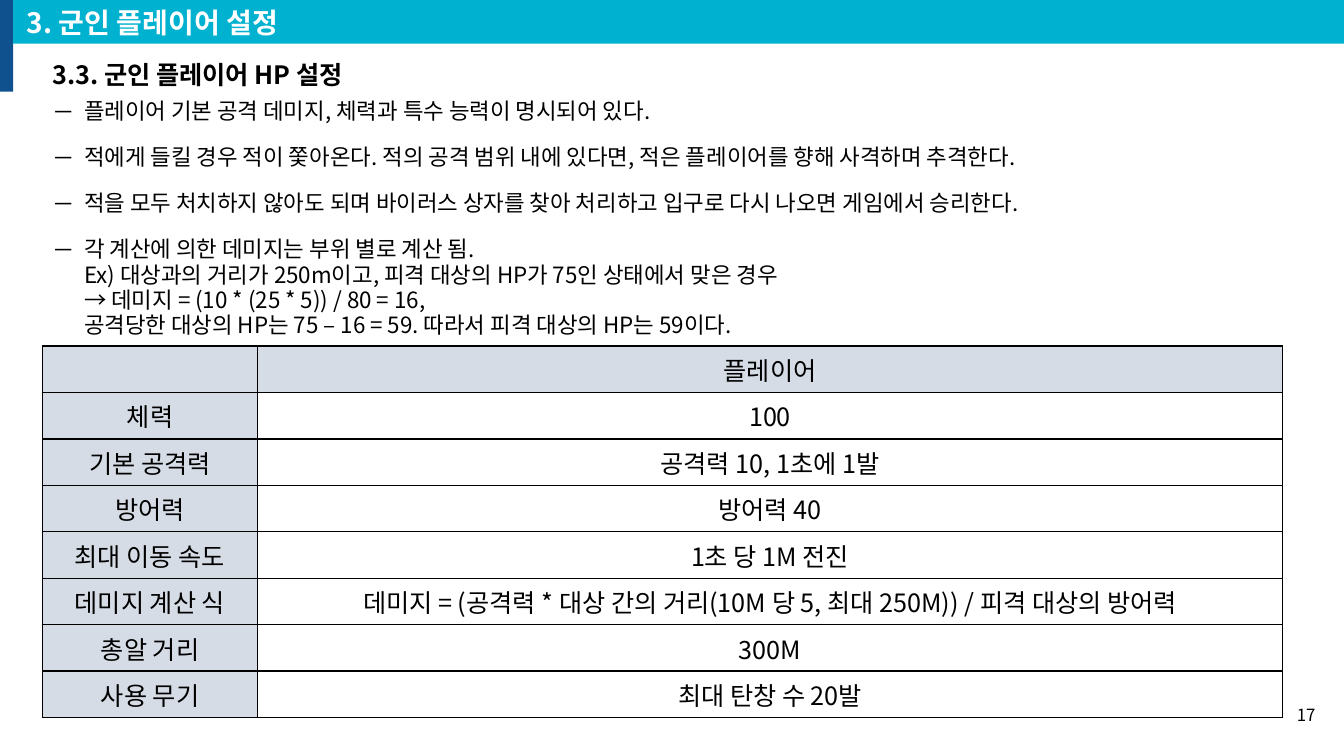
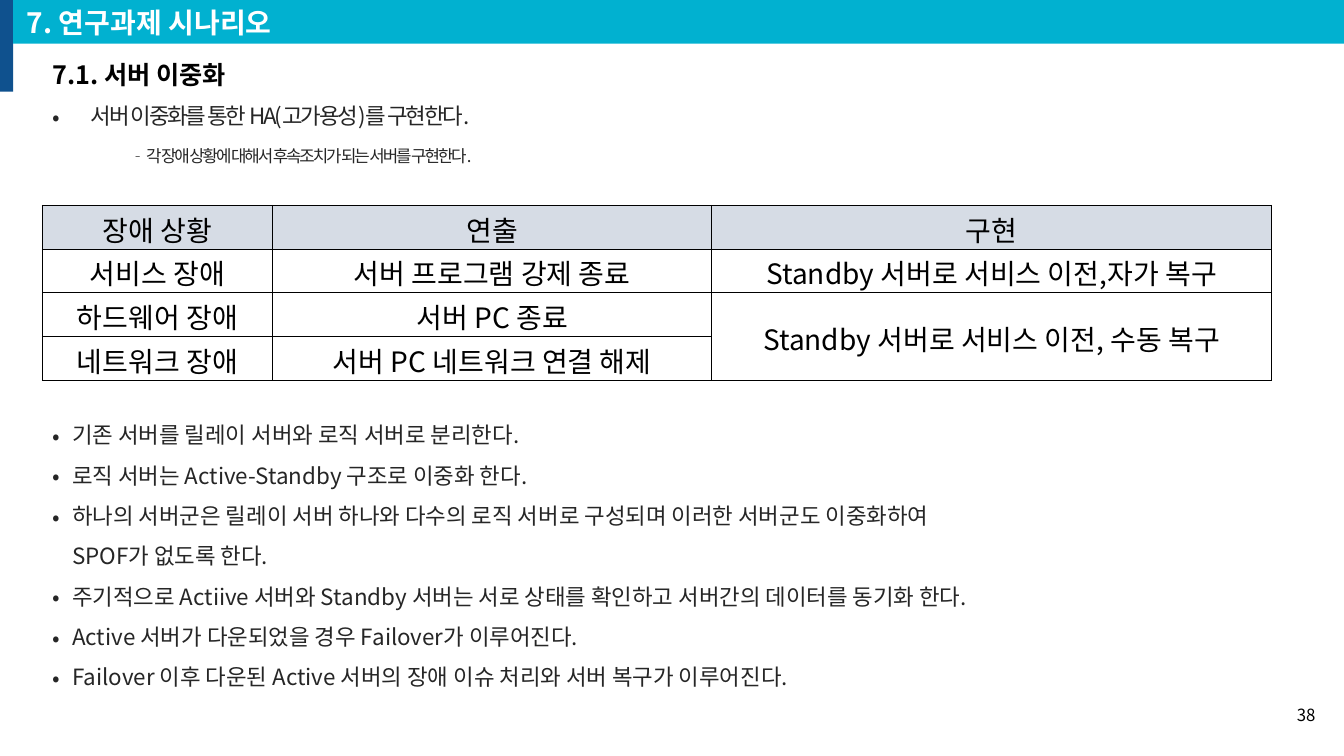
from copy import deepcopy
from dataclasses import dataclass

from lxml import etree
from pptx import Presentation
from pptx.dml.color import RGBColor
from pptx.enum import shapes, text
from pptx.oxml import ns
from pptx.util import Cm, Pt


@dataclass(frozen=True)
class Theme:
    font: str = "Noto Sans CJK KR"
    label_font: str = "Roboto"
    navy: str = "0F518E"
    cyan: str = "01B1D0"
    white: str = "FFFFFF"
    black: str = "000000"
    ink: str = "262626"
    header: str = "D6DCE5"
    title: int = 20
    heading: int = 18
    body: int = 16
    small: int = 12


T = Theme()
WIDTH, HEIGHT = 33.87, 19.05
LEFT = 1.07
STRIPE = 0.33
ALIGN = text.PP_ALIGN
MIDDLE = text.MSO_ANCHOR.MIDDLE

DASH = dict(bullet="－", left=0.8, indent=-0.8, spacing=Pt(18), after=15)
LEAD = dict(bullet="•", left=0.97, indent=-0.97, spacing=1.2, after=5,
            color=T.ink, tracking=-150)
SUB = dict(bullet="‐", left=0.97, indent=0.97, spacing=1.5,
           color=T.ink, tracking=-150, size=T.small)
DOT = dict(bullet="•", left=0.5, indent=-0.5, spacing=1.5, color=T.ink)

SLIDES = [
    dict(
        title="3. 군인 플레이어 설정",
        heading="3.3. 군인 플레이어 HP 설정",
        page="17",
        texts=[
            ((LEFT, 2.36, 32.08, 6.35), [
                ("플레이어 기본 공격 데미지, 체력과 특수 능력이 명시되어 있다.", DASH),
                ("적에게 들킬 경우 적이 쫓아온다. 적의 공격 범위 내에 있다면, "
                 "적은 플레이어를 향해 사격하며 추격한다.", DASH),
                ("적을 모두 처치하지 않아도 되며 바이러스 상자를 찾아 처리하고 "
                 "입구로 다시 나오면 게임에서 승리한다.", DASH),
                ("각 계산에 의한 데미지는 부위 별로 계산 됨.\n"
                 "Ex) 대상과의 거리가 250m이고, 피격 대상의 HP가 75인 상태에서 맞은 경우\n"
                 "→ 데미지 = (10 * (25 * 5)) / 80 = 16,\n"
                 "공격당한 대상의 HP는 75 – 16 = 59. 따라서 피격 대상의 HP는 59이다.", DASH),
            ]),
        ],
        table=dict(
            top=8.72, columns=(5.42, 25.83), row=1.17, size=T.heading,
            margins=(0.13, 0.13), label_column=True, merge=None,
            rows=[
                ("", "플레이어"),
                ("체력", "100"),
                ("기본 공격력", "공격력 10, 1초에 1발"),
                ("방어력", "방어력 40"),
                ("최대 이동 속도", "1초 당 1M 전진"),
                ("데미지 계산 식",
                 "데미지 = (공격력 * 대상 간의 거리(10M 당 5, 최대 250M)) / 피격 대상의 방어력"),
                ("총알 거리", "300M"),
                ("사용 무기", "최대 탄창 수 20발"),
            ],
        ),
    ),
    dict(
        title="7. 연구과제 시나리오",
        heading="7.1. 서버 이중화",
        page="38",
        texts=[
            ((LEFT, 2.31, 18.01, 2.59), [
                ("서버 이중화를 통한 HA(고가용성)를 구현한다.", LEAD),
                ("각 장애 상황에 대해서 후속조치가 되는 서버를 구현한다.", SUB),
            ]),
            ((LEFT, 10.16, 30.96, 7.34), [
                ("기존 서버를 릴레이 서버와 로직 서버로 분리한다.", DOT),
                ("로직 서버는 Active-Standby 구조로 이중화 한다.", DOT),
                ("하나의 서버군은 릴레이 서버 하나와 다수의 로직 서버로 구성되며 "
                 "이러한 서버군도 이중화하여\nSPOF가 없도록 한다.", DOT),
                ("주기적으로 Actiive 서버와 Standby 서버는 서로 상태를 확인하고 "
                 "서버간의 데이터를 동기화 한다.", DOT),
                ("Active 서버가 다운되었을 경우 Failover가 이루어진다.", DOT),
                ("Failover 이후 다운된 Active 서버의 장애 이슈 처리와 "
                 "서버 복구가 이루어진다.", DOT),
            ]),
        ],
        table=dict(
            top=5.18, columns=(5.8, 11.07, 14.1), row=1.1, size=T.title,
            margins=(0.08, 0), label_column=False, merge=((2, 2), (3, 2)),
            rows=[
                ("장애 상황", "연출", "구현"),
                ("서비스 장애", "서버 프로그램 강제 종료", "Standby 서버로 서비스 이전,자가 복구"),
                ("하드웨어 장애", "서버 PC 종료", "Standby 서버로 서비스 이전, 수동 복구"),
                ("네트워크 장애", "서버 PC 네트워크 연결 해제", ""),
            ],
        ),
    ),
]


def rgb(color):
    return RGBColor.from_string(color)


def add(parent, tag, **attributes):
    return etree.SubElement(parent, ns.qn(tag), attributes)


def write(p, words, size=T.body, color=T.black, bold=False, font=T.font,
          align=ALIGN.LEFT, bullet=None, left=0, indent=0, spacing=None,
          after=0, tracking=0):
    p.alignment = align
    p.space_after = Pt(after)
    if spacing:
        p.line_spacing = spacing
    pPr = p._p.get_or_add_pPr()
    pPr.set("marL", str(Cm(left)))
    pPr.set("indent", str(Cm(indent)))
    if bullet:
        add(pPr, "a:buFont", typeface=T.font)
        add(pPr, "a:buChar", char=bullet)
    for i, line in enumerate(words.split("\n")):
        if i:
            p.add_line_break()
        r = p.add_run()
        r.text = line
        r.font.size = Pt(size)
        r.font.bold = bold
        r.font.color.rgb = rgb(color)
        r.font.name = font
        rPr = r._r.get_or_add_rPr()
        add(rPr, "a:ea", typeface=T.font)
        if tracking:
            rPr.set("spc", str(tracking))
    for br in p._p.findall(ns.qn("a:br")):
        br.insert(0, deepcopy(rPr))


def add_text(s, box, paragraphs, anchor=text.MSO_ANCHOR.TOP):
    tf = s.shapes.add_textbox(*map(Cm, box)).text_frame
    tf.word_wrap = True
    tf.vertical_anchor = anchor
    for i, (words, style) in enumerate(paragraphs):
        write(tf.add_paragraph() if i else tf.paragraphs[0], words, **style)


def add_band(s, box, color):
    sp = s.shapes.add_shape(shapes.MSO_SHAPE.RECTANGLE, *map(Cm, box))
    sp.shadow.inherit = False
    sp.fill.solid()
    sp.fill.fore_color.rgb = rgb(color)
    sp.line.fill.background()
    return sp


def add_frame(s, title, heading, page):
    add_band(s, (0, 0, STRIPE, 2.31), T.navy)
    tf = add_band(s, (STRIPE, 0, WIDTH - STRIPE, 1.1), T.cyan).text_frame
    tf.vertical_anchor = MIDDLE
    write(tf.paragraphs[0], title, size=T.title, color=T.white, bold=True, left=0.1)
    add_text(s, (LEFT, 1.37, 10.36, 1.02),
             [(heading, dict(size=T.heading, bold=True))])
    add_text(s, (32.3, 17.5, 1.1, 1.02),
             [(page, dict(size=T.small, align=ALIGN.RIGHT))], MIDDLE)


def add_borders(cell):
    tcPr = cell._tc.get_or_add_tcPr()
    for side in "LRTB":
        ln = add(tcPr, f"a:ln{side}", w=str(Pt(1)))
        add(add(ln, "a:solidFill"), "a:srgbClr", val=T.black)


def add_grid(s, top, columns, row, size, margins, label_column, merge, rows):
    frame = s.shapes.add_table(len(rows), len(columns), Cm(LEFT), Cm(top),
                               Cm(sum(columns)), Cm(row * len(rows)))
    table = frame.table
    table.first_row = table.horz_banding = False
    for column, width in zip(table.columns, columns):
        column.width = Cm(width)
    for y, values in enumerate(rows):
        table.rows[y].height = Cm(row)
        for x, value in enumerate(values):
            cell = table.cell(y, x)
            cell.margin_top, cell.margin_bottom = map(Cm, margins)
            cell.vertical_anchor = MIDDLE
            add_borders(cell)
            label = label_column and x == 0
            if y == 0 or label:
                cell.fill.solid()
                cell.fill.fore_color.rgb = rgb(T.header)
            else:
                cell.fill.background()
            if value:
                font = T.label_font if label_column and (label or y == 0) else T.font
                write(cell.text_frame.paragraphs[0], value, size=size,
                      font=font, align=ALIGN.CENTER)
    if merge:
        first, last = merge
        table.cell(*first).merge(table.cell(*last))


def main():
    prs = Presentation()
    prs.slide_width, prs.slide_height = Cm(WIDTH), Cm(HEIGHT)
    for content in SLIDES:
        s = prs.slides.add_slide(prs.slide_layouts[6])
        add_frame(s, content["title"], content["heading"], content["page"])
        add_grid(s, **content["table"])
        for box, paragraphs in content["texts"]:
            add_text(s, box, paragraphs)
    prs.save("out.pptx")


if __name__ == "__main__":
    main()
